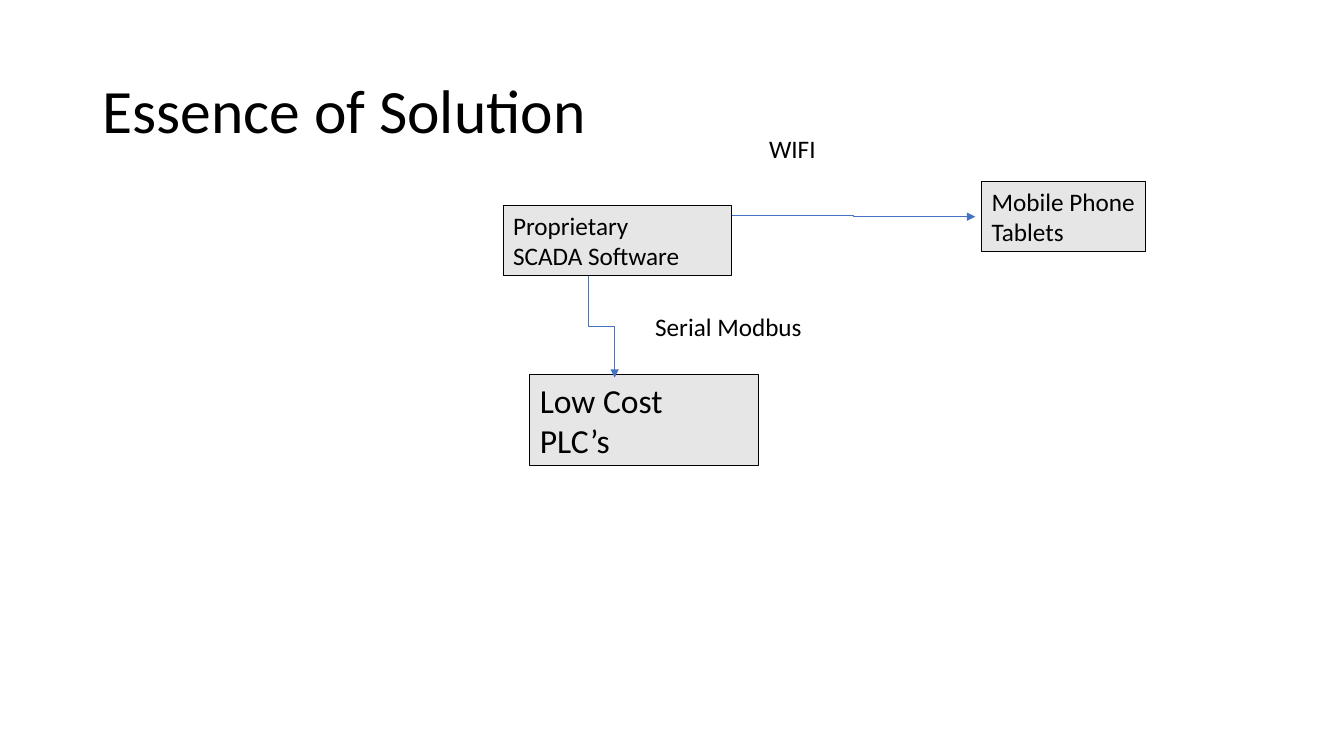
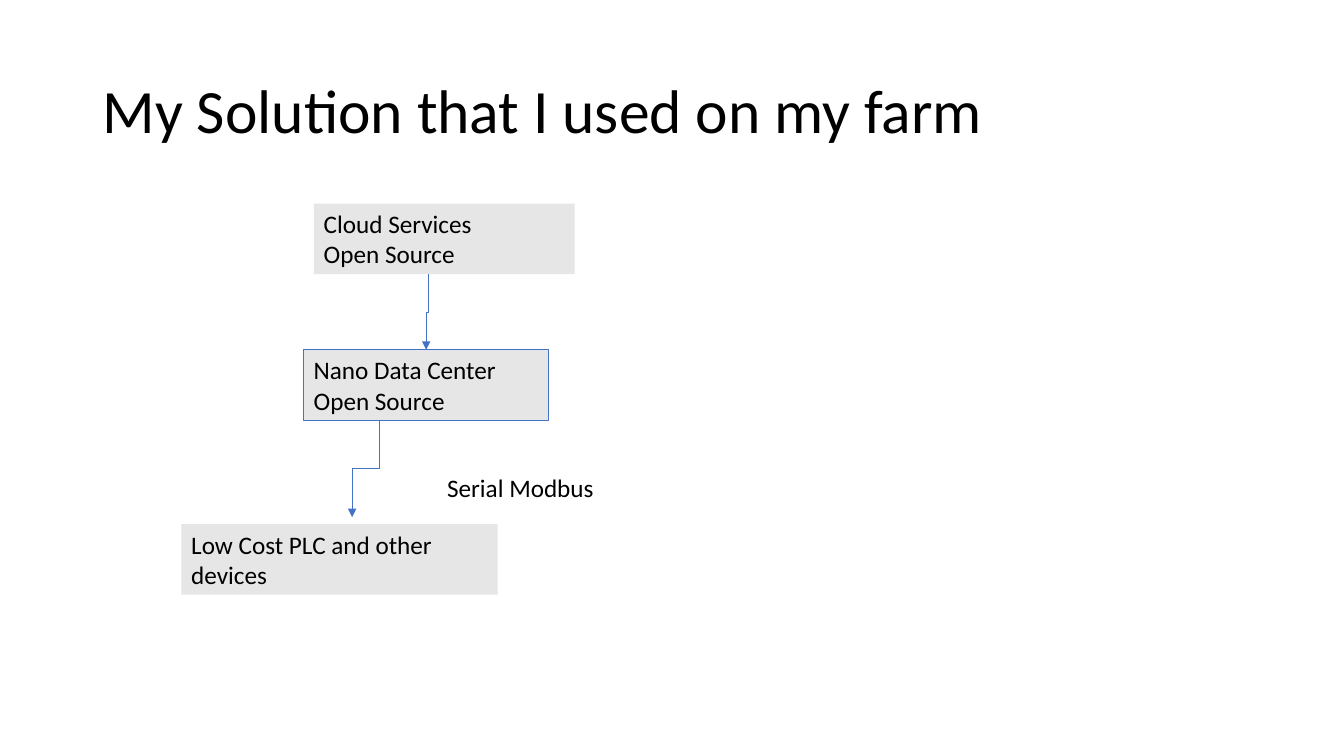
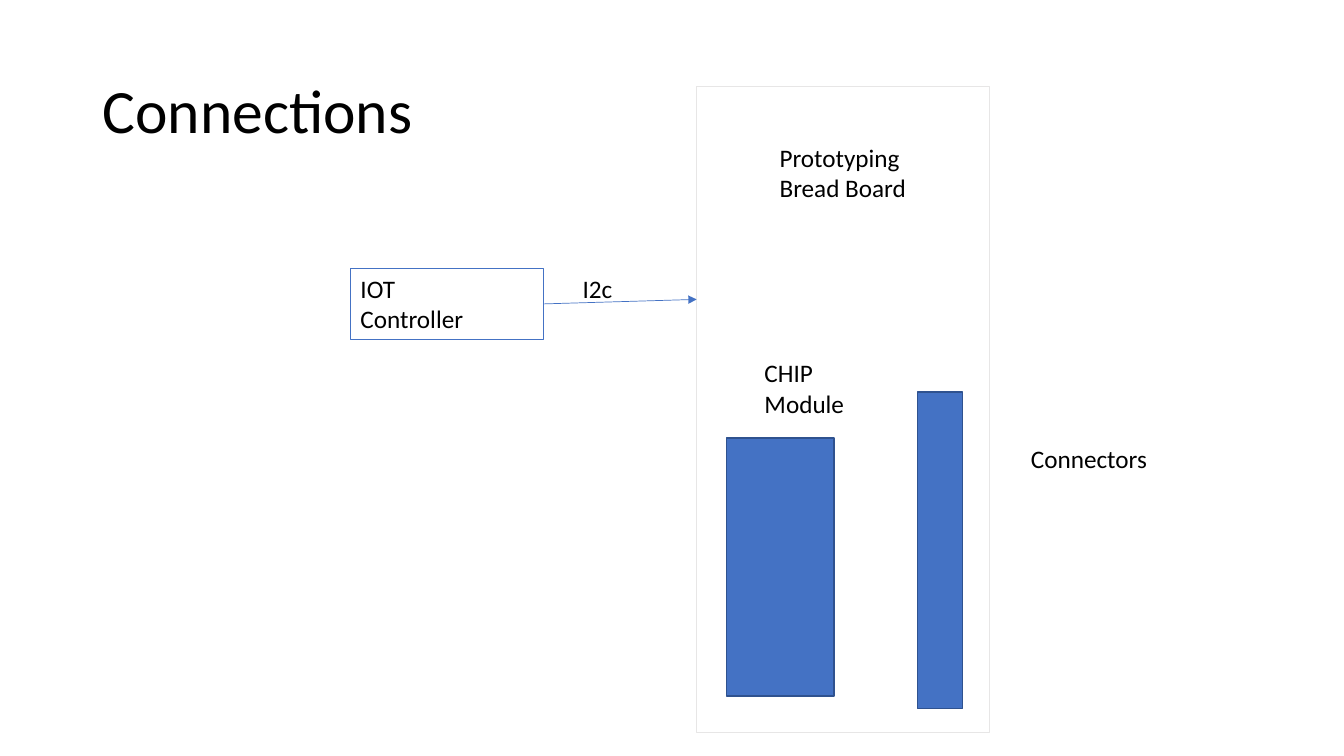
"""Build three slides of control-system diagrams."""
from dataclasses import dataclass
from typing import Optional

from lxml.etree import SubElement
from pptx import Presentation
from pptx.dml.color import RGBColor
from pptx.enum.shapes import MSO_CONNECTOR, MSO_SHAPE
from pptx.enum.text import MSO_ANCHOR, MSO_AUTO_SIZE, PP_ALIGN
from pptx.oxml.ns import qn
from pptx.slide import Slide
from pptx.util import Inches, Length, Pt


@dataclass(frozen=True)
class Theme:
    """Colours, type sizes and the grid shared by all slides."""

    font: str = "Calibri"
    ink: str = "000000"
    paper: str = "FFFFFF"
    grey: str = "E7E6E6"
    blue: str = "4472C4"
    navy: str = "2F528F"
    title: int = 44
    large: int = 24
    body: int = 18
    thin: float = 0.5
    outline: float = 0.75
    heavy: float = 1
    columns: float = 133.4
    rows: float = 75
    cell: float = 0.1


THEME = Theme()


@dataclass(frozen=True)
class Box:
    """A rectangle or label placed in grid columns and rows."""

    col: float
    row: float
    cols: float
    rows: float
    text: str = ""
    fill: Optional[str] = None
    line: Optional[str] = None
    weight: float = THEME.outline
    size: int = THEME.body

    def at(self, across: float, down: float) -> tuple[float, float]:
        """Return the grid point at shares of the width and height."""
        return self.col + across * self.cols, self.row + down * self.rows


@dataclass(frozen=True)
class Link:
    """An arrow between two grid points."""

    start: tuple[float, float]
    end: tuple[float, float]
    kind: MSO_CONNECTOR = MSO_CONNECTOR.ELBOW
    vertical: bool = False


def grid(units: float) -> Length:
    """Convert grid units to a length."""
    return Inches(units * THEME.cell)


def rgb(colour: str) -> RGBColor:
    """Convert a hex string to a colour."""
    return RGBColor.from_string(colour)


def write(sp, text: str, *, size: int = THEME.body, anchor: MSO_ANCHOR = MSO_ANCHOR.TOP,
          spacing: float = 1.0, grow: bool = True) -> None:
    """Write one left-aligned paragraph for each line of text."""
    tf = sp.text_frame
    tf.word_wrap = True
    tf.auto_size = MSO_AUTO_SIZE.SHAPE_TO_FIT_TEXT if grow else MSO_AUTO_SIZE.NONE
    tf.vertical_anchor = anchor
    for i, line in enumerate(text.split("\n")):
        p = tf.add_paragraph() if i else tf.paragraphs[0]
        p.alignment = PP_ALIGN.LEFT
        p.line_spacing = spacing
        r = p.add_run()
        r.text = line
        r.font.name, r.font.size = THEME.font, Pt(size)
        r.font.color.rgb = rgb(THEME.ink)


def draw_box(s: Slide, box: Box) -> None:
    """Draw a box, or a plain text box when it has no fill and no line."""
    place = [grid(v) for v in (box.col, box.row, box.cols, box.rows)]
    if box.fill or box.line:
        sp = s.shapes.add_shape(MSO_SHAPE.RECTANGLE, *place)
        sp.shadow.inherit = False
        if box.fill:
            sp.fill.solid()
            sp.fill.fore_color.rgb = rgb(box.fill)
        else:
            sp.fill.background()
        if box.line:
            sp.line.color.rgb = rgb(box.line)
            sp.line.width = Pt(box.weight)
        else:
            sp.line.fill.background()
    else:
        sp = s.shapes.add_textbox(*place)
    if box.text:
        write(sp, box.text, size=box.size)


def draw_link(s: Slide, link: Link) -> None:
    """Draw an arrow, turned a quarter when it leaves vertically."""
    (x1, y1), (x2, y2) = link.start, link.end
    turn = 1 if x2 < x1 else -1
    if link.vertical:
        cx, cy = (x1 + x2) / 2, (y1 + y2) / 2
        half, jog = turn * (y2 - y1) / 2, abs(x2 - x1) / 2
        x1, y1, x2, y2 = cx - half, cy - jog, cx + half, cy + jog
    c = s.shapes.add_connector(link.kind, *(grid(v) for v in (x1, y1, x2, y2)))
    c.line.color.rgb = rgb(THEME.blue)
    c.line.width = Pt(THEME.thin)
    props = c._element.spPr
    if link.vertical:
        props.find(qn("a:xfrm")).set("rot", str(turn * 90 * 60000 % (360 * 60000)))
    SubElement(props.find(qn("a:ln")), qn("a:tailEnd"), type="triangle")
    SubElement(props, qn("a:effectLst"))


def add_slide(prs: Presentation, title: str, boxes: list[Box], links: list[Link]) -> None:
    """Add a slide with its title, boxes and arrows."""
    s = prs.slides.add_slide(prs.slide_layouts[6])
    s.background.fill.solid()
    s.background.fill.fore_color.rgb = rgb(THEME.paper)
    sp = s.shapes.add_textbox(*(grid(v) for v in (9.2, 4, 115, 14.5)))
    write(sp, title, size=THEME.title, anchor=MSO_ANCHOR.MIDDLE, spacing=0.9, grow=False)
    for box in boxes:
        draw_box(s, box)
    for link in links:
        draw_link(s, link)


def essence(prs: Presentation) -> None:
    """Add the overview of the solution."""
    t = THEME
    plc = Box(52.6, 37.2, 22.7, 9, "Low Cost\nPLC’s", t.grey, t.ink, size=t.large)
    scada = Box(49.95, 20.35, 22.7, 7, "Proprietary\nSCADA Software", t.grey, t.ink)
    mobile = Box(97.45, 18, 16.25, 7, "Mobile Phone\nTablets", t.grey, t.ink)
    add_slide(
        prs, "Essence of Solution",
        [plc, scada, mobile, Box(64.05, 30.4, 18, 4, "Serial Modbus"),
         Box(75.35, 12.7, 8, 4, "WIFI")],
        [Link(scada.at(0.37, 1), plc.at(0.37, 0.03), vertical=True),
         Link(scada.at(1, 0.15), mobile.at(-0.04, 0.5))])


def farm(prs: Presentation) -> None:
    """Add the layers used on the farm."""
    t = THEME
    cloud = Box(31.15, 20.2, 25.9, 7, "Cloud Services\nOpen Source", t.grey)
    nano = Box(30.15, 34.7, 24.3, 7, "Nano Data Center\nOpen Source", t.grey, t.blue)
    plc = Box(18, 52, 31.4, 7, "Low Cost PLC and other devices", t.grey)
    add_slide(
        prs, "My Solution that I used on my farm",
        [cloud, nano, plc, Box(43.4, 46.35, 18, 4, "Serial Modbus")],
        [Link(nano.at(0.31, 1), plc.at(0.54, -0.1), vertical=True),
         Link(cloud.at(0.44, 1), nano.at(0.5, 0), vertical=True)])


def connections(prs: Presentation) -> None:
    """Add the wiring of the bread board."""
    t = THEME
    board = Box(69.15, 8.55, 29.1, 64.1, "", t.paper, t.grey, t.heavy)
    iot = Box(34.8, 26.65, 19.15, 7, "IOT\nController", line=t.blue)
    parts = [Box(*place, "", t.blue, t.navy, t.heavy)
             for place in ((91.05, 38.9, 4.5, 31.4), (72.1, 43.45, 10.7, 25.6))]
    add_slide(
        prs, "Connections",
        [board, Box(76.4, 13.6, 16, 7, "Prototyping\nBread Board"),
         Box(74.9, 35, 17.6, 7, "CHIP\nModule"), iot, Box(56.85, 26.6, 7, 4, "I2c"),
         *parts, Box(101.35, 43.45, 15, 4, "Connectors")],
        [Link(iot.at(1, 0.5), board.at(0, 0.33), MSO_CONNECTOR.STRAIGHT)])


def main() -> None:
    """Build and save the presentation."""
    prs = Presentation()
    prs.slide_width, prs.slide_height = grid(THEME.columns), grid(THEME.rows)
    for build in (essence, farm, connections):
        build(prs)
    prs.save("out.pptx")


if __name__ == "__main__":
    main()
